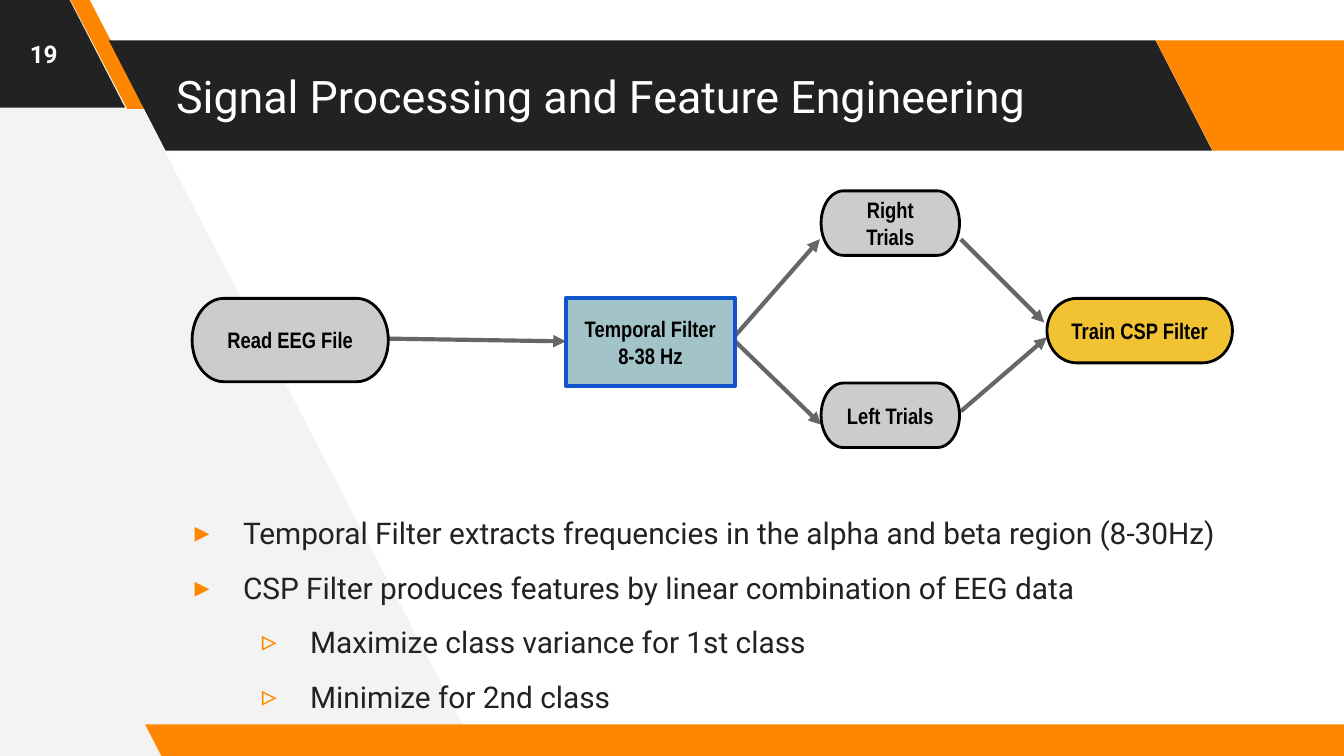
from lxml import etree
from pptx import Presentation
from pptx import util as u
from pptx.dml import color
from pptx.enum import shapes, text
from pptx.oxml import ns

COLORS = {
    "dark": "222222", "orange": "FF8700", "pale": "F3F3F3", "white": "FFFFFF",
    "black": "000000", "gray": "CCCCCC", "arrow": "666666",
    "teal": "A2C4C9", "blue": "1155CC", "gold": "F1C232",
}
SHAPE = shapes.MSO_SHAPE


def rgb(name):
    """Look up a named colour."""
    return color.RGBColor.from_string(COLORS[name])


def paint(sp, fill, line=None, width=1.5):
    """Set a shape's fill and outline, without shadow."""
    sp.shadow.inherit = False
    sp.fill.solid()
    sp.fill.fore_color.rgb = rgb(fill)
    if line:
        sp.line.color.rgb = rgb(line)
        sp.line.width = u.Pt(width)
    else:
        sp.line.fill.background()


def add_bullet(p, char, indent):
    """Give a paragraph an orange bullet with a hanging indent."""
    pPr = p._p.get_or_add_pPr()
    pPr.set("marL", str(u.Inches(indent)))
    pPr.set("indent", str(u.Inches(-0.36)))
    clr = etree.SubElement(pPr, ns.qn("a:buClr"))
    etree.SubElement(clr, ns.qn("a:srgbClr"), val=COLORS["orange"])
    etree.SubElement(pPr, ns.qn("a:buFont"), typeface="Roboto")
    etree.SubElement(pPr, ns.qn("a:buChar"), char=char)


def write(sp, lines, size, font="Roboto", ink="dark", bold=False,
          align=text.PP_ALIGN.LEFT, anchor=text.MSO_ANCHOR.MIDDLE, bullets=None, gap=0):
    """Fill a shape with formatted paragraphs."""
    tf = sp.text_frame
    tf.word_wrap = True
    tf.auto_size = text.MSO_AUTO_SIZE.NONE
    tf.vertical_anchor = anchor
    tf.margin_left = tf.margin_right = tf.margin_top = tf.margin_bottom = u.Inches(0.1)
    for i, line in enumerate(lines):
        p = tf.add_paragraph() if i else tf.paragraphs[0]
        p.alignment = align
        p.space_before = u.Pt(gap if i else 0)
        if bullets:
            p.level = bullets[i][0]
            add_bullet(p, *bullets[i][1:])
        r = p.add_run()
        r.text = line
        r.font.size, r.font.name, r.font.bold = u.Pt(size), font, bold
        r.font.color.rgb = rgb(ink)


def add_backdrop(s):
    """Draw the pale wedge and the slanted bands."""
    points = [(3.56, 5.62), (0.62, -0.04), (-0.06, -0.04), (-0.02, 5.66)]
    emu = [(u.Inches(x), u.Inches(y)) for x, y in points]
    fb = s.shapes.build_freeform(*emu[0])
    fb.add_line_segments(emu[1:], close=True)
    paint(fb.convert_to_shape(), "pale")
    bands = [
        (-0.99, -0.02, 1.92, 0.82, 0.515, "dark"),
        (0.52, -0.01, 0.57, 0.82, 0.75, "orange"),
        (0.81, 0.3, 8.21, 0.82, 0.515, "dark"),
        (8.6, 0.3, 1.92, 0.82, 0.515, "orange"),
        (1.08, 5.39, 9.15, 0.25, 0.515, "orange"),
    ]
    for *box, slant, fill in bands:
        sp = s.shapes.add_shape(SHAPE.PARALLELOGRAM, *map(u.Inches, box))
        sp.adjustments[0] = slant
        sp._element.spPr.find(ns.qn("a:xfrm")).set("flipH", "1")
        paint(sp, fill)


def add_header(s, box, title, number):
    """Place the title in its box and the slide number in the corner."""
    sp = s.shapes.title
    sp.left, sp.top, sp.width, sp.height = map(u.Inches, box)
    s.shapes._spTree.append(sp._element)
    write(sp, [title], 24, ink="white")
    corner = s.shapes.add_textbox(0, 0, u.Inches(0.65), u.Inches(0.8))
    write(corner, [number], 13, ink="white", bold=True, align=text.PP_ALIGN.CENTER)


def add_arrow(s, start, end):
    """Draw a straight arrow between two points."""
    c = s.shapes.add_connector(shapes.MSO_CONNECTOR.STRAIGHT, *map(u.Inches, (*start, *end)))
    c.line.color.rgb = rgb("arrow")
    c.line.width = u.Pt(2.25)
    etree.SubElement(c.line._get_or_add_ln(), ns.qn("a:tailEnd"), type="triangle")
    etree.SubElement(c._element.spPr, ns.qn("a:effectLst"))


def add_flow(s, box):
    """Draw the processing flow from the top left of its box."""
    x0, y0 = box[:2]
    arrows = [
        ((1.46, 1.1), (2.78, 1.12)),
        ((4.03, 1.09), (4.67, 0.36)),
        ((4.04, 1.12), (4.68, 1.74)),
        ((5.72, 0.36), (6.34, 0.98)),
        ((5.72, 1.64), (6.36, 1.09)),
    ]
    for ends in arrows:
        add_arrow(s, *[(x0 + x, y0 + y) for x, y in ends])
    end = SHAPE.FLOWCHART_TERMINATOR
    nodes = [
        (["Read EEG File"], 0, 0.8, 1.46, 0.62, end, "gray", "black", 1.5),
        (["Temporal Filter", "8-38 Hz"], 2.78, 0.8, 1.26, 0.65,
         SHAPE.RECTANGLE, "teal", "blue", 2.25),
        (["Right Trials"], 4.68, 0, 1.03, 0.48, end, "gray", "black", 1.5),
        (["Left Trials"], 4.68, 1.43, 1.03, 0.48, end, "gray", "black", 1.5),
        (["Train CSP Filter"], 6.36, 0.8, 1.38, 0.48, end, "gold", "black", 1.5),
    ]
    for lines, x, y, w, h, kind, fill, line, width in nodes:
        sp = s.shapes.add_shape(kind, *map(u.Inches, (x0 + x, y0 + y, w, h)))
        paint(sp, fill, line, width)
        write(sp, lines, 12, font="Arial Narrow", ink="black", bold=True,
              align=text.PP_ALIGN.CENTER)


def add_filter_points(s, box):
    """Write the two-level bullet list in its box."""
    items = [
        (0, "Temporal Filter extracts frequencies in the alpha and beta region (8-30Hz)"),
        (0, "CSP Filter produces features by linear combination of EEG data"),
        (1, "Maximize class variance for 1st class"),
        (1, "Minimize for 2nd class"),
    ]
    styles = [(0, "▸", 0.5), (1, "▹", 1)]
    sp = s.shapes.add_textbox(*map(u.Inches, box))
    write(sp, [line for _, line in items], 16, anchor=text.MSO_ANCHOR.TOP,
          bullets=[styles[level] for level, _ in items], gap=10)


def main():
    """Build and save the slide."""
    prs = Presentation()
    prs.slide_width, prs.slide_height = u.Inches(10), u.Inches(10 * 9 / 16)
    s = prs.slides.add_slide(prs.slide_layouts[5])
    add_backdrop(s)
    add_header(s, (1.21, 0.3, 7.35, 0.82), "Signal Processing and Feature Engineering", "19")
    add_flow(s, (1.43, 1.42, 7.74, 1.91))
    add_filter_points(s, (1.21, 3.73, 8.29, 1.65))
    prs.save("out.pptx")


if __name__ == "__main__":
    main()
